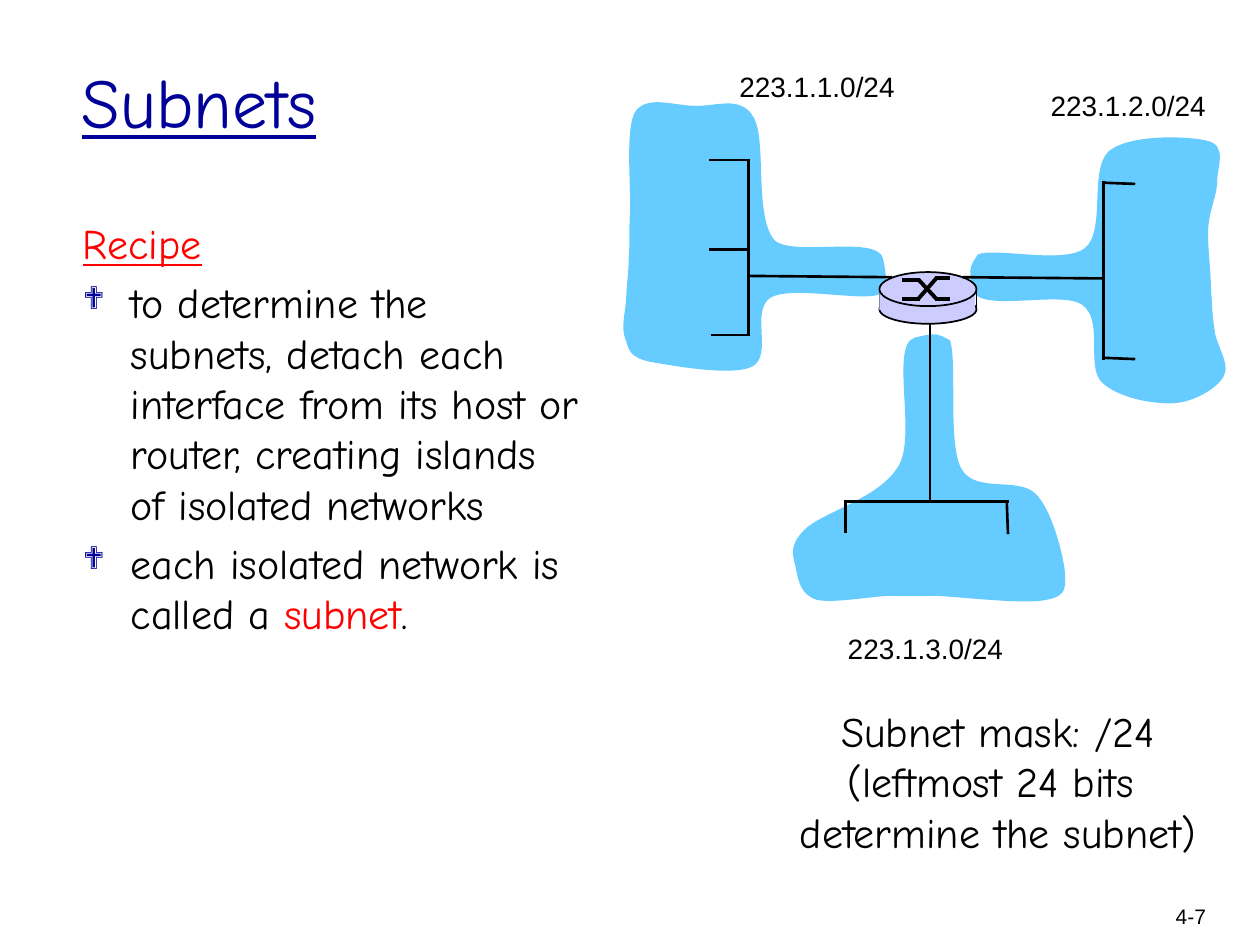
from lxml.etree import SubElement
from pptx import Presentation
from pptx.dml.color import RGBColor
from pptx.enum.shapes import MSO_CONNECTOR, MSO_SHAPE
from pptx.enum.text import MSO_ANCHOR, MSO_AUTO_SIZE, PP_ALIGN
from pptx.oxml.ns import qn
from pptx.util import Inches, Pt

BLACK = RGBColor(0, 0, 0)
NAVY = RGBColor(0, 0, 0x99)
RED = RGBColor(0xFF, 0, 0)
SKY = RGBColor(0x66, 0xCC, 0xFF)
LILAC = RGBColor(0xCC, 0xCC, 0xFF)
HAND, SANS = "Comic Neue", "Arial"
UNITS = 100  # outline units to the inch

# Island outlines: a start point, then Bezier segments (two controls and an end)
LEFT_ISLAND = (7.01, 2.06), [
    (6.98, 1.86, 6.31, 2.04, 6.15, 1.91), (5.98, 1.72, 6.09, 1.11, 5.98, 0.93),
    (5.88, 0.75, 5.67, 0.85, 5.51, 0.84), (5.35, 0.84, 5.13, 0.75, 5.04, 0.89),
    (4.96, 1.03, 5.01, 1.5, 5, 1.69), (4.99, 1.89, 5, 1.94, 4.99, 2.05),
    (4.99, 2.17, 4.97, 2.28, 4.97, 2.38), (4.96, 2.49, 4.93, 2.6, 4.96, 2.68),
    (4.99, 2.76, 4.98, 2.83, 5.15, 2.87), (5.32, 2.9, 5.81, 2.99, 5.97, 2.91),
    (6.14, 2.82, 5.95, 2.46, 6.12, 2.36), (6.29, 2.27, 6.82, 2.39, 6.97, 2.34),
    (7.03, 2.25, 7.05, 2.26, 7.01, 2.06)]
RIGHT_ISLAND = (7.72, 2.3), [
    (7.77, 2.49, 8.42, 2.3, 8.59, 2.42), (8.76, 2.54, 8.62, 2.9, 8.74, 3.03),
    (8.87, 3.16, 9.16, 3.21, 9.32, 3.2), (9.48, 3.19, 9.66, 3.08, 9.71, 2.99),
    (9.77, 2.89, 9.65, 2.74, 9.64, 2.62), (9.62, 2.5, 9.62, 2.4, 9.61, 2.27),
    (9.61, 2.13, 9.58, 1.94, 9.59, 1.8), (9.6, 1.66, 9.66, 1.55, 9.66, 1.44),
    (9.66, 1.33, 9.74, 1.16, 9.59, 1.12), (9.45, 1.08, 8.97, 1.06, 8.8, 1.2),
    (8.64, 1.35, 8.78, 1.83, 8.61, 1.97), (8.44, 2.1, 7.9, 1.96, 7.76, 2.02),
    (7.71, 2.11, 7.68, 2.1, 7.72, 2.3)]
LOWER_ISLAND = (7.26, 2.68), [
    (7.06, 2.74, 7.28, 3.46, 7.13, 3.7), (6.98, 3.96, 6.51, 4.07, 6.38, 4.21),
    (6.24, 4.35, 6.31, 4.44, 6.32, 4.53), (6.34, 4.62, 6.36, 4.72, 6.48, 4.76),
    (6.6, 4.79, 6.88, 4.74, 7.04, 4.73), (7.2, 4.73, 7.23, 4.73, 7.44, 4.73),
    (7.65, 4.74, 8.14, 4.8, 8.31, 4.76), (8.47, 4.73, 8.46, 4.66, 8.45, 4.52),
    (8.43, 4.38, 8.35, 4.05, 8.22, 3.92), (8.08, 3.78, 7.74, 3.92, 7.63, 3.72),
    (7.52, 3.52, 7.6, 2.88, 7.54, 2.7), (7.45, 2.66, 7.46, 2.63, 7.26, 2.68)]

# Wires as x1, y1, x2, y2
LEFT_WIRES = [(5.63, 1.27, 5.93, 1.27), (5.94, 1.26, 5.94, 2.67), (5.63, 1.98, 5.93, 1.98),
              (5.64, 2.66, 5.94, 2.66), (5.94, 2.19, 7.08, 2.2)]
RIGHT_WIRES = [(7.64, 2.2, 8.75, 2.21), (8.76, 1.44, 8.76, 2.86),
               (8.76, 1.45, 9.01, 1.46), (8.76, 2.84, 9.01, 2.85)]
LOWER_WIRES = [(7.38, 2.57, 7.38, 3.99), (8.01, 3.98, 6.71, 3.98),
               (6.71, 4.23, 6.71, 3.97), (8, 4.24, 7.99, 3.97)]
ROUTER_CROSS = [(7.16, 2.22, 7.3, 2.22), (7.42, 2.37, 7.54, 2.37), (7.29, 2.22, 7.43, 2.37),
                (7.16, 2.37, 7.3, 2.37), (7.42, 2.21, 7.54, 2.21), (7.29, 2.37, 7.43, 2.21)]
LABELS = [("223.1.1.0/24", 5.77, 0.5), ("223.1.2.0/24", 8.24, 0.65), ("223.1.3.0/24", 6.63, 4.96)]


def add_island(page, start, segments):
    points = [tuple(round(v * UNITS) for v in segment[i:i + 2])
              for segment in segments for i in (0, 2, 4)]
    first = [round(v * UNITS) for v in start]
    builder = page.shapes.build_freeform(*first, scale=Inches(1) / UNITS)
    builder.add_line_segments(points, close=True)
    island = builder.convert_to_shape()
    style_shape(island, SKY)
    # Turn each three line steps into one curve
    steps = list(island._element.iter(qn("a:lnTo")))
    for index in range(0, len(segments) * 3, 3):
        curve = steps[index]
        curve.tag = qn("a:cubicBezTo")
        for step in steps[index + 1:index + 3]:
            curve.append(step[0])
            step.getparent().remove(step)


def style_shape(shape, fill, outlined=False):
    shape.shadow.inherit = False
    shape.fill.solid()
    shape.fill.fore_color.rgb = fill
    if outlined:
        shape.line.color.rgb = BLACK
        shape.line.width = Pt(1)
    else:
        shape.line.fill.background()


def add_solid(page, kind, area, outlined):
    shape = page.shapes.add_shape(kind, *map(Inches, area))
    style_shape(shape, LILAC, outlined)


def add_wires(page, wires, width=1.5):
    for ends in wires:
        wire = page.shapes.add_connector(MSO_CONNECTOR.STRAIGHT, *map(Inches, ends))
        wire.line.color.rgb = BLACK
        wire.line.width = Pt(width)
        SubElement(wire._element.spPr, qn("a:effectLst"))


def format_para(para, size, name, color=BLACK, underline=None):
    font = para.font
    font.size, font.name, font.underline = Pt(size), name, underline
    font.color.rgb = color


def add_text(page, area, lines, size, name, align=PP_ALIGN.LEFT, wrap=True):
    box = page.shapes.add_textbox(*map(Inches, area))
    frame = box.text_frame
    frame.word_wrap = wrap
    frame.text = "\n".join(lines)
    for para in frame.paragraphs:
        para.alignment = align
        format_para(para, size, name)
    return frame


def add_bullet(para):
    props = para._p.get_or_add_pPr()
    props.set("marL", str(Inches(0.38)))
    props.set("indent", str(-Inches(0.38)))
    SubElement(SubElement(props, qn("a:buClr")), qn("a:srgbClr")).set("val", str(NAVY))
    SubElement(props, qn("a:buSzPct")).set("val", "75000")
    SubElement(props, qn("a:buFont")).set("typeface", "Wingdings")
    SubElement(props, qn("a:buChar")).set("char", "❖")


def add_title(page):
    title = page.shapes.title
    title.left, title.top, title.width, title.height = map(Inches, (0.55, 0.17, 5.7, 1.25))
    frame = title.text_frame
    frame.text = "Subnets"
    frame.vertical_anchor = MSO_ANCHOR.MIDDLE
    frame.auto_size = MSO_AUTO_SIZE.NONE
    frame.paragraphs[0].alignment = PP_ALIGN.LEFT
    format_para(frame.paragraphs[0], 40, HAND, NAVY, True)


def add_recipe(page):
    frame = add_text(page, (0.56, 1.68, 4.17, 5.08), ["Recipe"], 24, HAND)
    format_para(frame.paragraphs[0], 24, HAND, RED, True)
    bullets = [
        [("to determine the subnets, detach each interface from its host or router, "
          "creating islands of isolated networks", None)],
        [("each isolated network is called a ", None), ("subnet", RED), (".", None)]]
    for spans in bullets:
        para = frame.add_paragraph()
        add_bullet(para)
        para.space_before = Pt(4.8)
        format_para(para, 24, HAND)
        for text, color in spans:
            span = para.add_run()
            span.text = text
            if color is not None:
                span.font.color.rgb = color


def add_router(page):
    add_solid(page, MSO_SHAPE.OVAL, (6.98, 2.34, 0.77, 0.23), True)
    add_wires(page, [(x, 2.32, x, 2.47) for x in (6.98, 7.75)], 1)
    add_solid(page, MSO_SHAPE.RECTANGLE, (6.98, 2.32, 0.76, 0.14), False)
    add_solid(page, MSO_SHAPE.OVAL, (6.98, 2.16, 0.77, 0.27), True)
    add_wires(page, ROUTER_CROSS, 2.25)


def main():
    deck = Presentation()
    deck.slide_width, deck.slide_height = Inches(10), Inches(7.5)
    page = deck.slides.add_slide(deck.slide_layouts[5])
    add_title(page)

    # Network diagram
    for start, segments in (LEFT_ISLAND, RIGHT_ISLAND, LOWER_ISLAND):
        add_island(page, start, segments)
    add_wires(page, LEFT_WIRES)
    add_router(page)
    add_wires(page, RIGHT_WIRES + LOWER_WIRES)
    for label, left, top in LABELS:
        add_text(page, (left, top, 1.44, 0.37), [label], 16, SANS, wrap=False)

    # Explanations and page number
    add_recipe(page)
    add_text(page, (6.06, 5.55, 3.72, 1.31),
             ["Subnet mask: /24", "(leftmost 24 bits ", "determine the subnet)"],
             24, HAND, PP_ALIGN.CENTER)
    add_text(page, (8.93, 7.12, 0.74, 0.38), ["4-7"], 12, SANS, PP_ALIGN.RIGHT)
    deck.save("out.pptx")


if __name__ == "__main__":
    main()
